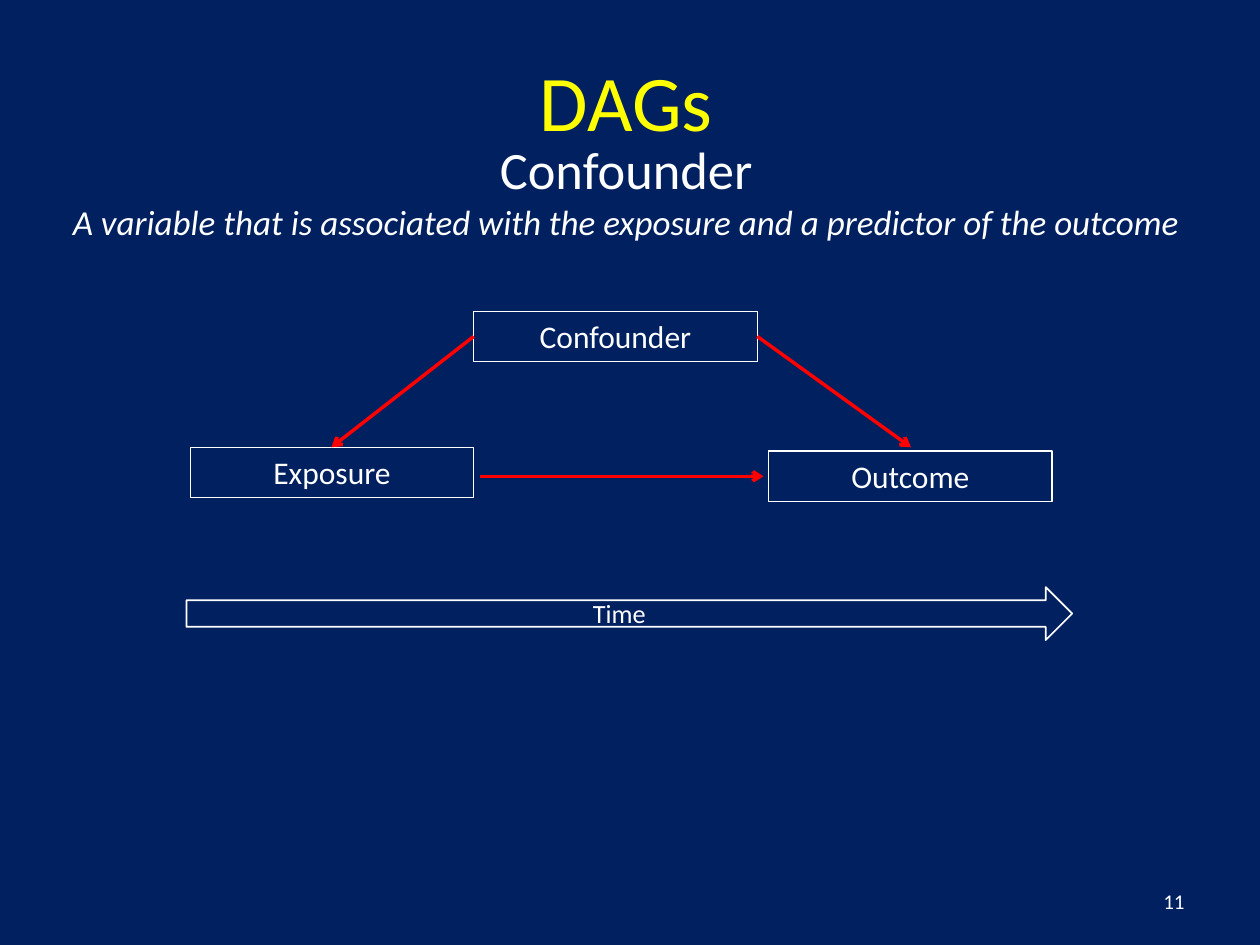
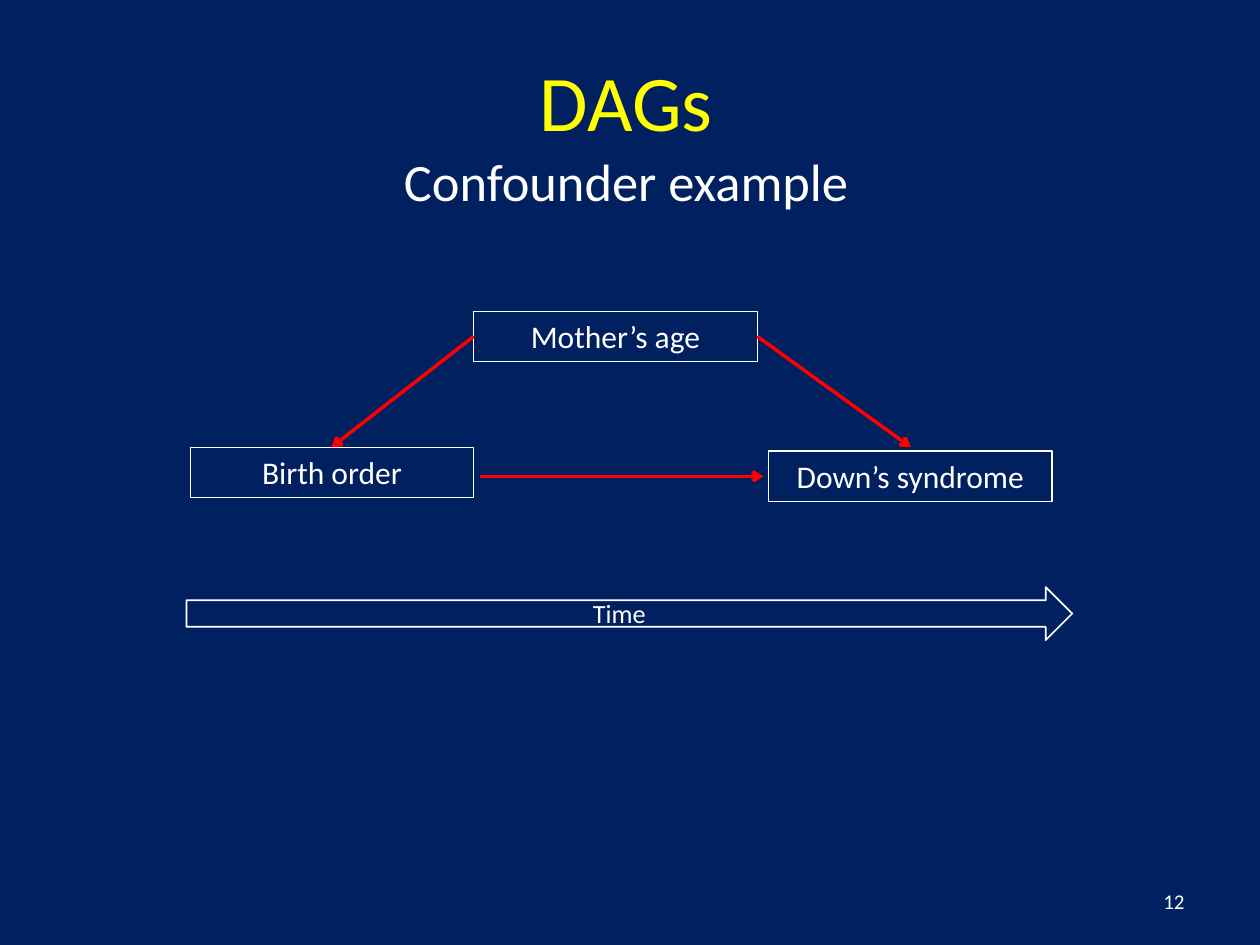
import pptx
import pptx.util
import pptx.dml.color
import pptx.enum.shapes
import pptx.enum.text
import pptx.oxml.ns
import lxml.etree

Inches = pptx.util.Inches
Pt = pptx.util.Pt
ALIGN = pptx.enum.text.PP_ALIGN
ANCHOR = pptx.enum.text.MSO_ANCHOR
SHAPE = pptx.enum.shapes.MSO_SHAPE
COLORS = {"navy": "002060", "yellow": "FFFF00", "white": "FFFFFF", "red": "FF0000"}
HUES = {name: pptx.dml.color.RGBColor.from_string(code) for name, code in COLORS.items()}

FONT = "Calibri"
HEAD_LEFT, HEAD_WIDTH, HEAD_HEIGHT = -0.78, 11.5, 1.25
BOX_WIDTH, BOX_HEIGHT = 2.25, 0.4
SPOTS = [(3.76, 2.47), (1.51, 3.55), (6.1, 3.58)]  # cause, exposure, outcome
ARROWS = [
    ((3.81, 3.78), (6.06, 3.78)),
    ((6.01, 2.67), (7.23, 3.55)),
    ((3.76, 2.67), (2.63, 3.55)),
]
SLIDES = [
    {
        "top": 0.88,
        "lines": [
            ("Confounder", 30, False),
            ("A variable that is associated with the exposure and a predictor of the outcome", 20, True),
        ],
        "boxes": ["Confounder", "Exposure", "Outcome"],
    },
    {
        "top": 0.81,
        "lines": [("Confounder example", 30, False)],
        "boxes": ["Mother’s age", "Birth order", "Down’s syndrome"],
    },
]


def write(shape, lines, hue="white", align=ALIGN.CENTER, anchor=ANCHOR.MIDDLE):
    """Fill a shape with lines, each a (text, size, italic) tuple."""
    frame = shape.text_frame
    frame.text = "\n".join(text for text, size, slant in lines)
    frame.word_wrap = True
    frame.auto_size = pptx.enum.text.MSO_AUTO_SIZE.NONE
    frame.vertical_anchor = anchor
    for para, (text, size, slant) in zip(frame.paragraphs, lines):
        para.alignment = align
        para.space_before = Pt(0)
        font = para.runs[0].font
        font.name, font.size, font.italic = FONT, Pt(size), slant
        font.color.rgb = HUES[hue]


def outline(shape, width):
    shape.shadow.inherit = False
    shape.fill.background()
    shape.line.color.rgb = HUES["white"]
    shape.line.width = Pt(width)


deck = pptx.Presentation()
deck.slide_width, deck.slide_height = Inches(10), Inches(7.5)
back = deck.slide_master.background.fill
back.solid()
back.fore_color.rgb = HUES["navy"]

for number, page in enumerate(SLIDES, start=11):
    slide = deck.slides.add_slide(deck.slide_layouts[0])
    shapes = slide.shapes

    title, subtitle = shapes.title, slide.placeholders[1]
    for holder, top in ((title, 0.17), (subtitle, page["top"])):
        holder.left, holder.top = Inches(HEAD_LEFT), Inches(top)
        holder.width, holder.height = Inches(HEAD_WIDTH), Inches(HEAD_HEIGHT)
    write(title, [("DAGs", 45, False)], "yellow")
    write(subtitle, page["lines"])

    for label, (left, top) in zip(page["boxes"], SPOTS):
        box = shapes.add_shape(SHAPE.RECTANGLE, Inches(left), Inches(top),
                               Inches(BOX_WIDTH), Inches(BOX_HEIGHT))
        outline(box, 0.75)
        write(box, [(label, 18, False)], anchor=ANCHOR.TOP)

    for start, end in ARROWS:
        link = shapes.add_connector(pptx.enum.shapes.MSO_CONNECTOR.STRAIGHT,
                                    *map(Inches, start + end))
        link.line.color.rgb = HUES["red"]
        link.line.width = Pt(2)
        line = link.line._get_or_add_ln()
        lxml.etree.SubElement(line, pptx.oxml.ns.qn("a:tailEnd"), type="arrow")
        lxml.etree.SubElement(link._element.spPr, pptx.oxml.ns.qn("a:effectLst"))

    group = shapes.add_group_shape().shapes
    time = group.add_shape(SHAPE.RIGHT_ARROW, Inches(1.48), Inches(4.66),
                           Inches(7.03), Inches(0.42))
    outline(time, 1)
    label = group.add_textbox(Inches(4.13), Inches(4.69), Inches(1.57), Inches(0.35))
    write(label, [("Time", 15, False)], anchor=ANCHOR.TOP)

    footer = shapes.add_textbox(Inches(7.17), Inches(6.95), Inches(2.33), Inches(0.4))
    write(footer, [(str(number), 12, False)], align=ALIGN.RIGHT)

deck.save("out.pptx")
